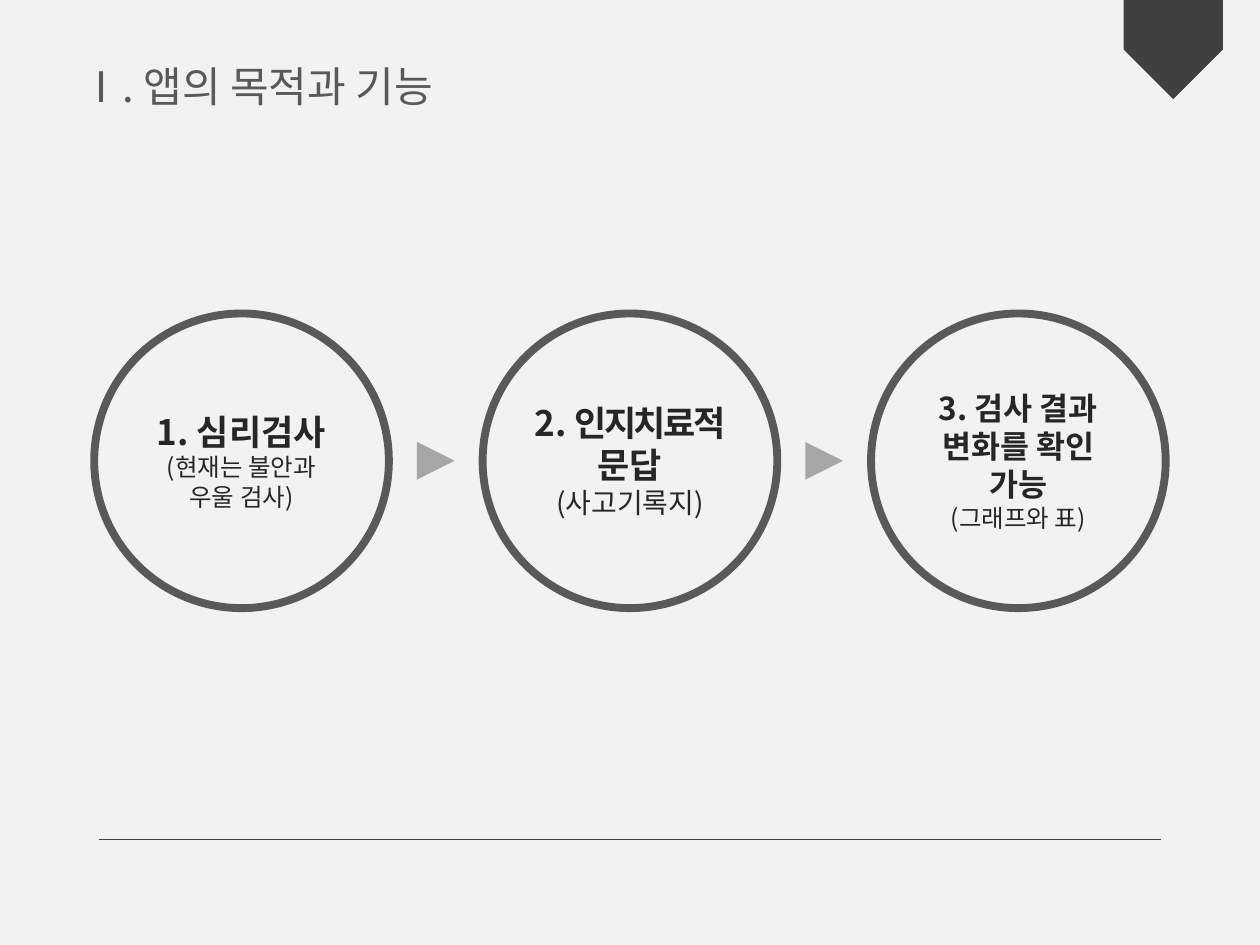
from dataclasses import dataclass
from lxml.etree import SubElement
from pptx import Presentation
from pptx.dml.color import RGBColor
from pptx.enum.shapes import MSO_CONNECTOR, MSO_SHAPE
from pptx.enum.text import MSO_ANCHOR, MSO_AUTO_SIZE, PP_ALIGN
from pptx.oxml.ns import qn
from pptx.util import Cm, Pt


@dataclass(frozen=True)
class Theme:
    face: str = "Noto Sans CJK KR"
    back: RGBColor = RGBColor.from_string("F2F2F2")
    ring: RGBColor = RGBColor.from_string("595959")
    dark: RGBColor = RGBColor.from_string("404040")
    ink: RGBColor = RGBColor.from_string("262626")
    arrow: RGBColor = RGBColor.from_string("A6A6A6")
    title: Pt = Pt(24)
    large: Pt = Pt(20)
    mid: Pt = Pt(18)
    note: Pt = Pt(16)
    small: Pt = Pt(14)


def style(para, size, color, bold=False):
    font = para.font
    font.name, font.size, font.bold = theme.face, size, bold
    font.color.rgb = color
    base = para._p.get_or_add_pPr().get_or_add_defRPr()
    SubElement(base, qn("a:ea"), typeface=theme.face)


def turned(kind, left, top, size, color):
    shape = slide.shapes.add_shape(kind, Cm(left), Cm(top), Cm(size), Cm(size))
    shape.rotation = 90
    shape.shadow.inherit = False
    shape.fill.solid()
    shape.fill.fore_color.rgb = color
    shape.line.fill.background()


theme = Theme()
deck = Presentation()
deck.slide_width, deck.slide_height = Cm(25.4), Cm(19.05)
slide = deck.slides.add_slide(deck.slide_layouts[6])
slide.background.fill.solid()
slide.background.fill.fore_color.rgb = theme.back

title = slide.shapes.add_textbox(Cm(1.37), Cm(1.09), Cm(8.41), Cm(1.28)).text_frame
title.word_wrap = False
title.auto_size = MSO_AUTO_SIZE.SHAPE_TO_FIT_TEXT
title.text = "Ⅰ. 앱의 목적과 기능"
style(title.paragraphs[0], theme.title, theme.ring)

rule = slide.shapes.add_connector(
    MSO_CONNECTOR.STRAIGHT, Cm(2), Cm(16.92), Cm(23.4), Cm(16.92))
rule.line.color.rgb = theme.dark
rule.line.width = Pt(0.75)
SubElement(rule._element.spPr, qn("a:effectLst"))

turned(MSO_SHAPE.PENTAGON, 22.65, 0, 2, theme.dark)

steps = [
    (["1. 심리검사"], theme.large, "(현재는 불안과 우울 검사)", theme.small),
    (["2. ", "인지치료적", " 문답"], theme.large, "(사고기록지)", theme.note),
    (["3. 검사 결과 변화를 확인 가능"], theme.mid, "(그래프와 표)", theme.small),
]
left, top, size, pitch = 1.9, 6.32, 5.94, 7.83
tip = 0.76

for i, (parts, large, note, small) in enumerate(steps):
    x = left + i * pitch
    ring = slide.shapes.add_shape(MSO_SHAPE.OVAL, Cm(x), Cm(top), Cm(size), Cm(size))
    ring.shadow.inherit = False
    ring.fill.background()
    ring.line.color.rgb = theme.ring
    ring.line.width = Pt(4.5)
    frame = ring.text_frame
    frame.word_wrap = True
    frame.vertical_anchor = MSO_ANCHOR.MIDDLE
    head, foot = frame.paragraphs[0], frame.add_paragraph()
    for part in parts:
        head.add_run().text = part
    foot.text = note
    head.alignment = foot.alignment = PP_ALIGN.CENTER
    style(head, large, theme.ink, True)
    style(foot, small, theme.ink)
    if len(parts) > 1:
        frame.margin_left = frame.margin_right = 0
        head.runs[1]._r.get_or_add_rPr().set("spc", "-150")
    if i < len(steps) - 1:
        gap = (pitch - size - tip) / 2
        turned(MSO_SHAPE.FLOWCHART_EXTRACT, x + size + gap,
               top + (size - tip) / 2, tip, theme.arrow)

deck.save("out.pptx")
